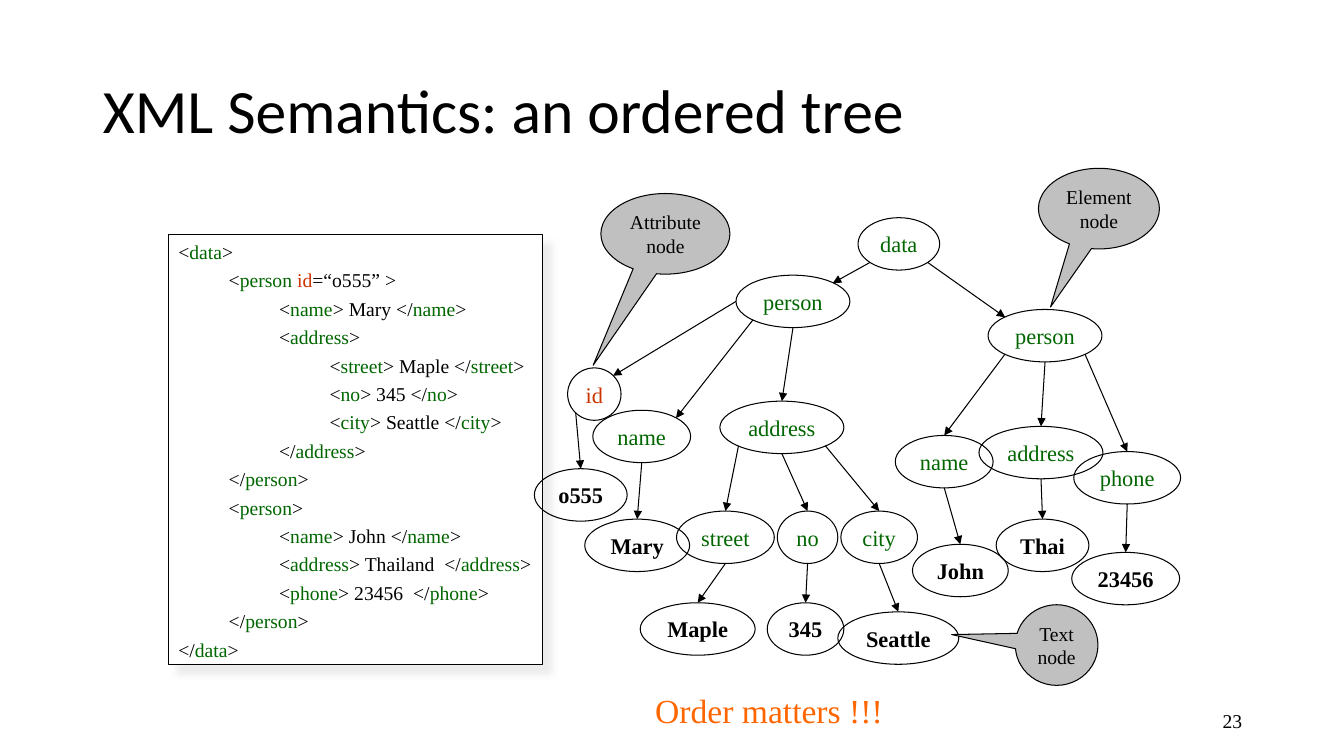
from lxml import etree
from pptx import Presentation
from pptx import util as u
from pptx.dml.color import RGBColor
from pptx.enum import shapes, text
from pptx.oxml import parse_xml
from pptx.oxml.ns import nsdecls, qn

BLACK = RGBColor(0x00, 0x00, 0x00)
WHITE = RGBColor(0xFF, 0xFF, 0xFF)
GREEN = RGBColor(0x00, 0x66, 0x00)
RED = RGBColor(0xCC, 0x33, 0x00)
ORANGE = RGBColor(0xFF, 0x66, 0x00)
GRAY = RGBColor(0xC0, 0xC0, 0xC0)
SERIF = "Times New Roman"
CENTER = text.PP_ALIGN.CENTER
MIDDLE = text.MSO_ANCHOR.MIDDLE
TOP = text.MSO_ANCHOR.TOP


def add_text(paragraph, words, size, color, bold=False, name=SERIF):
    """Add words to a paragraph as one formatted run."""
    run = paragraph.add_run()
    run.text = words
    run.font.color.rgb = color
    for key, value in {"size": u.Pt(size), "bold": bold, "name": name}.items():
        setattr(run.font, key, value)


def add_outlined(preset, box, fill, anchor):
    """Add a thin-outlined shape and return it."""
    shape = slide.shapes.add_shape(preset, *map(u.Inches, box))
    shape.shadow.inherit = False
    shape.line.color.rgb = BLACK
    shape.line.width = u.Pt(0.75)
    if fill is None:
        shape.fill.background()
    else:
        shape.fill.solid()
        shape.fill.fore_color.rgb = fill
    shape.text_frame.word_wrap = False
    shape.text_frame.vertical_anchor = anchor
    return shape


presentation = Presentation()
presentation.slide_width = u.Inches(13.33)
presentation.slide_height = u.Inches(7.5)
slide = presentation.slides.add_slide(presentation.slide_layouts[5])

# Title
title = slide.shapes.title
title_box = {"left": 0.92, "top": 0.4, "width": 11.5, "height": 1.45}
for key, value in title_box.items():
    setattr(title, key, u.Inches(value))
title.text_frame.vertical_anchor = MIDDLE
paragraph = title.text_frame.paragraphs[0]
paragraph.alignment = text.PP_ALIGN.LEFT
paragraph.line_spacing = 0.9
add_text(paragraph, "XML Semantics: an ordered tree", 44, BLACK, name="Calibri")

# XML listing: indent level and text, with names between bars
listing = [
    (0, "<|data|>"),
    (1, "<|person ||id|=“o555” >"),
    (2, "<|name|> Mary </|name|>"),
    (2, "<|address|>"),
    (3, "<|street|> Maple </|street|>"),
    (3, "<|no|> 345 </|no|>"),
    (3, "<|city|> Seattle </|city|>"),
    (2, "</|address|>"),
    (1, "</|person|>"),
    (1, "<|person|>"),
    (2, "<|name|> John </|name|>"),
    (2, "<|address|> Thailand  </|address|>"),
    (2, "<|phone|> 23456  </|phone|>"),
    (1, "</|person|>"),
    (0, "</|data|>"),
]
code = add_outlined(shapes.MSO_SHAPE.RECTANGLE, (1.67, 2.33, 3.71, 4.26), WHITE, TOP)
for index, (level, line) in enumerate(listing):
    frame = code.text_frame
    paragraph = frame.add_paragraph() if index else frame.paragraphs[0]
    paragraph.alignment = text.PP_ALIGN.LEFT
    paragraph.space_before = u.Pt(3.5)
    paragraph._p.get_or_add_pPr().set("marL", str(u.Inches(0.5 * level)))
    for position, piece in enumerate(line.split("|")):
        color = RED if piece == "id" else GREEN if position % 2 else BLACK
        if piece:
            add_text(paragraph, piece, 14, color)

# Soft offset shadow behind the listing
effects = code._element.spPr.find(qn("a:effectLst"))
effects.append(parse_xml(
    f'<a:outerShdw {nsdecls("a")} blurRad="{u.Pt(5)}" dist="{u.Pt(8.5)}" dir="2700000"'
    ' algn="ctr" rotWithShape="0"><a:srgbClr val="E7E6E6"><a:alpha val="75000"/>'
    '</a:srgbClr></a:outerShdw>'))

# Tree nodes: key -> label, left, top, width, colour (black labels are text values)
NODE_HEIGHT = 0.52
nodes = {
    "data": ("data", 8.51, 2.16, 0.81, GREEN),
    "person1": ("person", 7.3, 2.73, 1.13, GREEN),
    "person2": ("person", 9.8, 3.07, 1.13, GREEN),
    "id": ("id", 5.63, 3.65, 0.53, RED),
    "o555": ("o555", 5.3, 4.65, 0.92, BLACK),
    "name1": ("name", 5.88, 4.07, 0.97, GREEN),
    "address1": ("address", 7.14, 3.98, 1.23, GREEN),
    "name2": ("name", 8.88, 4.32, 0.97, GREEN),
    "address2": ("address", 9.71, 4.23, 1.23, GREEN),
    "phone": ("phone", 10.65, 4.48, 1.06, GREEN),
    "street": ("street", 6.71, 5.07, 0.97, GREEN),
    "no": ("no", 7.71, 5.07, 0.6, GREEN),
    "city": ("city", 8.34, 5.07, 0.76, GREEN),
    "Mary": ("Mary", 5.8, 5.15, 1.04, BLACK),
    "Maple": ("Maple", 6.35, 5.98, 1.14, BLACK),
    "345": ("345", 7.61, 5.98, 0.76, BLACK),
    "Seattle": ("Seattle", 8.31, 6.07, 1.2, BLACK),
    "John": ("John", 9.05, 5.4, 0.95, BLACK),
    "Thai": ("Thai", 9.88, 5.15, 0.92, BLACK),
    "23456": ("23456", 10.63, 5.48, 1.07, BLACK),
}
for label, left, top, width, color in nodes.values():
    node = add_outlined(shapes.MSO_SHAPE.OVAL, (left, top, width, NODE_HEIGHT), None, MIDDLE)
    paragraph = node.text_frame.paragraphs[0]
    paragraph.alignment = CENTER
    add_text(paragraph, label, 16, color, bold=color == BLACK)

# Tree edges: parent, side it leaves, child, side it enters
DIAGONAL = 0.35
sides = {
    "top": (0, -0.5), "bottom": (0, 0.5), "left": (-0.5, 0),
    "upper left": (-DIAGONAL, -DIAGONAL), "upper right": (DIAGONAL, -DIAGONAL),
    "lower left": (-DIAGONAL, DIAGONAL), "lower right": (DIAGONAL, DIAGONAL),
}
edges = [
    ("data", "lower left", "person1", "upper right"),
    ("data", "lower right", "person2", "upper left"),
    ("person1", "left", "id", "upper right"),
    ("person1", "lower left", "name1", "upper right"),
    ("person1", "bottom", "address1", "top"),
    ("person2", "lower left", "name2", "top"),
    ("person2", "bottom", "address2", "top"),
    ("person2", "lower right", "phone", "top"),
    ("id", "lower left", "o555", "top"),
    ("name1", "bottom", "Mary", "top"),
    ("address1", "lower left", "street", "top"),
    ("address1", "bottom", "no", "top"),
    ("address1", "lower right", "city", "top"),
    ("street", "bottom", "Maple", "top"),
    ("no", "bottom", "345", "top"),
    ("city", "bottom", "Seattle", "top"),
    ("name2", "bottom", "John", "top"),
    ("address2", "bottom", "Thai", "top"),
    ("phone", "bottom", "23456", "top"),
]
for parent, leaving, child, entering in edges:
    ends = []
    for key, side in ((parent, leaving), (child, entering)):
        label, left, top, width, color = nodes[key]
        across, down = sides[side]
        ends += [left + width * (0.5 + across), top + NODE_HEIGHT * (0.5 + down)]
    edge = slide.shapes.add_connector(shapes.MSO_CONNECTOR.STRAIGHT, *map(u.Inches, ends))
    edge.line.color.rgb = BLACK
    edge.line.width = u.Pt(0.75)
    etree.SubElement(edge.line._get_or_add_ln(), qn("a:tailEnd"), type="triangle")
    etree.SubElement(edge._element.spPr, qn("a:effectLst"))

# Callouts: label, box, pointer offset
callouts = [
    ("Element\vnode", (10.3, 1.67, 1.2, 0.8), (-0.4, 1.22)),
    ("Text\vnode", (10.07, 6, 0.82, 0.8), (-1.27, -0.13)),
    ("Attribute\vnode", (5.96, 1.92, 1.28, 0.8), (-0.56, 1.63)),
]
for label, box, pointer in callouts:
    callout = add_outlined(shapes.MSO_SHAPE.OVAL_CALLOUT, box, GRAY, TOP)
    callout.adjustments[0], callout.adjustments[1] = pointer
    paragraph = callout.text_frame.paragraphs[0]
    paragraph.alignment = CENTER
    for index, word in enumerate(label.split("\v")):
        if index:
            paragraph.add_line_break()
        add_text(paragraph, word, 14, BLACK)

# Closing remark and slide number
captions = [
    ("Order matters !!!", (6.4, 6.8, 2.46, 0.5), 24, ORANGE, text.PP_ALIGN.LEFT, TOP),
    ("23", (9.42, 6.95, 3, 0.4), 14, BLACK, text.PP_ALIGN.RIGHT, MIDDLE),
]
for words, box, size, color, alignment, anchor in captions:
    caption = slide.shapes.add_textbox(*map(u.Inches, box))
    caption.text_frame.word_wrap = True
    caption.text_frame.vertical_anchor = anchor
    paragraph = caption.text_frame.paragraphs[0]
    paragraph.alignment = alignment
    add_text(paragraph, words, size, color)

presentation.save("out.pptx")
